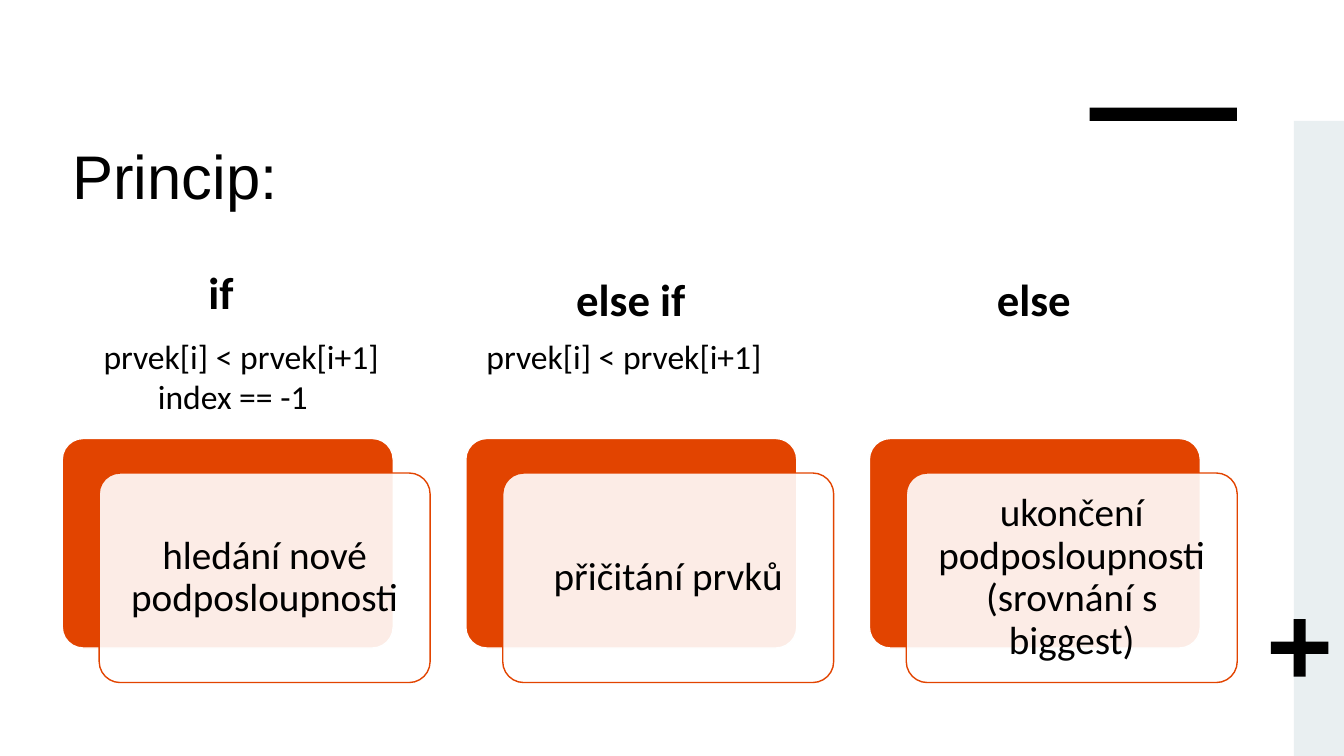
from pptx import Presentation
from pptx.dml.color import RGBColor
from pptx.enum.shapes import MSO_SHAPE as SHAPE
from pptx.enum.text import MSO_ANCHOR as ANCHOR, PP_ALIGN as ALIGN
from pptx.oxml.ns import qn
from pptx.util import Cm, Pt
from lxml import etree

BLACK, WHITE, ORANGE, PALE = "000000", "FFFFFF", "E24400", "E9EFF1"
INSETS = ("margin_left", "margin_top", "margin_right", "margin_bottom")

# Text entries are (text, dx, dy) within the column
COLUMNS = [
    dict(heading=("if", 3.43, 0),
         conditions=[("index == -1", 2.16, 2.8), ("prvek[i] < prvek[i+1]", 0.79, 1.78)],
         action="hledání nové podposloupnosti"),
    dict(heading=("else if", 2.53, 0.18),
         conditions=[("prvek[i] < prvek[i+1]", 0.27, 1.78)],
         action="přičitání prvků"),
    dict(heading=("else", 2.96, 0.18),
         conditions=[],
         action="ukončení podposloupnosti (srovnání s biggest)"),
]


def rgb(color):
    return RGBColor.from_string(color)


def add_shape(s, kind, box, fill, line=None, adj=None, opacity=None):
    sp = s.shapes.add_shape(kind, *map(Cm, box))
    sp.shadow.inherit = False
    sp.fill.solid()
    sp.fill.fore_color.rgb = rgb(fill)
    if adj is not None:
        sp.adjustments[0] = adj
    if line:
        sp.line.color.rgb = rgb(line)
        sp.line.width = Pt(1)
    else:
        sp.line.fill.background()
    if opacity is not None:
        color = sp.fill._xPr.find(qn("a:solidFill"))[0]
        etree.SubElement(color, qn("a:alpha")).set("val", str(opacity * 1000))
    return sp


def add_text(s, box, text, size, font="Calibri", bold=False):
    tf = s.shapes.add_textbox(*map(Cm, box)).text_frame
    tf.word_wrap = True
    p = tf.paragraphs[0]
    r = p.add_run()
    r.text = text
    for name, value in dict(name=font, size=Pt(size), bold=bold).items():
        setattr(r.font, name, value)
    r.font.color.rgb = rgb(BLACK)
    return tf


def add_decor(s, left, top, width, height):
    """Pale side band with the bar beside it and the plus on it."""
    add_shape(s, SHAPE.RECTANGLE, (left, top, width, height), PALE)
    add_shape(s, SHAPE.RECTANGLE, (left - 5.15, top - 0.34, 3.71, 0.34), BLACK)
    add_shape(s, SHAPE.CROSS, (left - 0.58, top + 12.55, 1.45, 1.45), BLACK, adj=0.395)


def add_card(s, left, top, width, height, text):
    """Orange card with a translucent one in front that holds the text."""
    add_shape(s, SHAPE.ROUNDED_RECTANGLE, (left, top, width, height), ORANGE, WHITE, 0.1)
    left, top = left + 0.93, top + 0.87
    add_shape(s, SHAPE.ROUNDED_RECTANGLE, (left, top, width, height), WHITE, ORANGE, 0.1, 90)
    pad = 0.15
    tf = add_text(s, (left + pad, top + pad, width - 2 * pad, height - 2 * pad), text, 28)
    tf.vertical_anchor = ANCHOR.MIDDLE
    for inset in INSETS:
        setattr(tf, inset, Cm(0.3))
    p = tf.paragraphs[0]
    p.alignment = ALIGN.CENTER
    p.line_spacing = 0.9


def add_column(s, left, top, width, heading, conditions, action):
    add_card(s, left, top + 4.5, width, 5.28, action)
    for text, dx, dy in conditions:
        add_text(s, (left + dx, top + dy, 8.6, 1.27), text, 24)
    text, dx, dy = heading
    add_text(s, (left + dx, top + dy, 7.62, 1.62), text, 32, bold=True)


def main():
    prs = Presentation()
    prs.slide_width, prs.slide_height = Cm(33.87), Cm(19.05)
    s = prs.slides.add_slide(prs.slide_layouts[6])
    add_text(s, (1.57, 3.35, 22.96, 4.01), "Princip:", 44, "Arial")
    add_decor(s, 32.61, 3.05, 1.26, 16)
    for i, column in enumerate(COLUMNS):
        add_column(s, 1.57 + i * 10.17, 6.55, 8.34, **column)
    prs.save("out.pptx")


if __name__ == "__main__":
    main()
